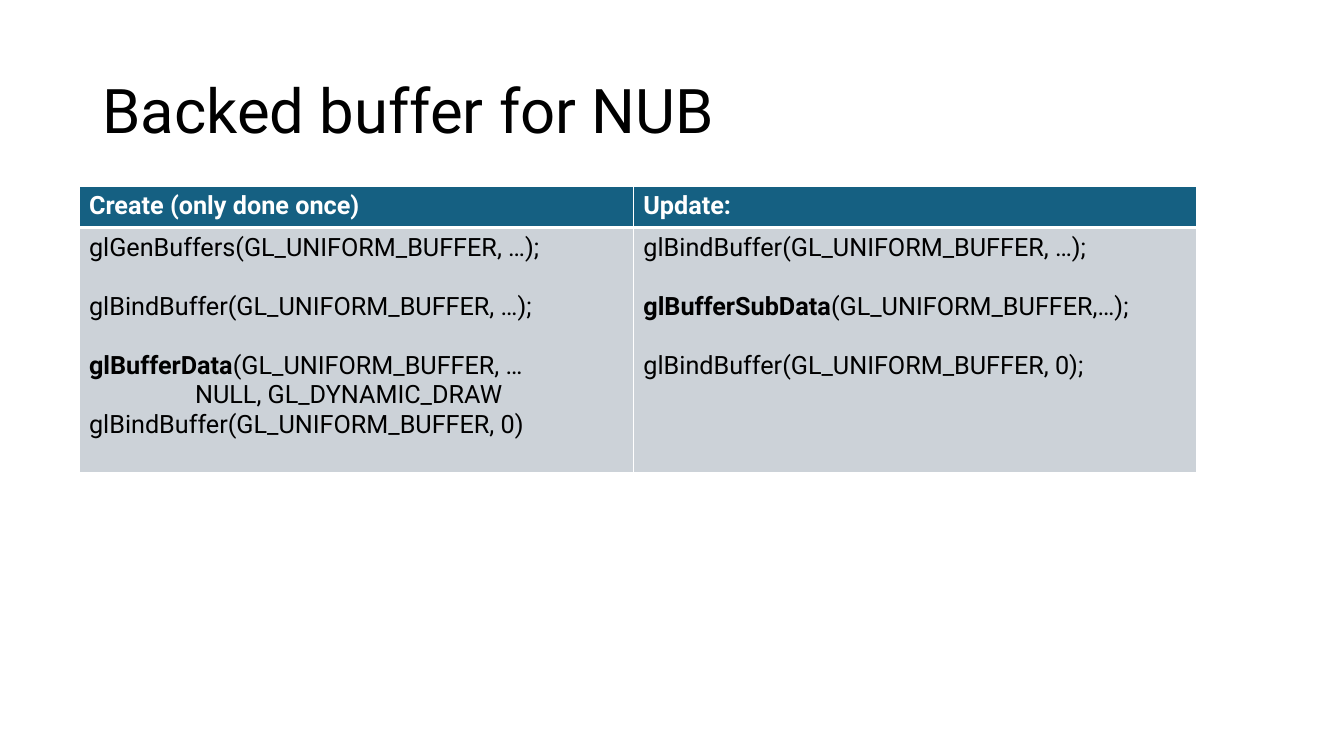
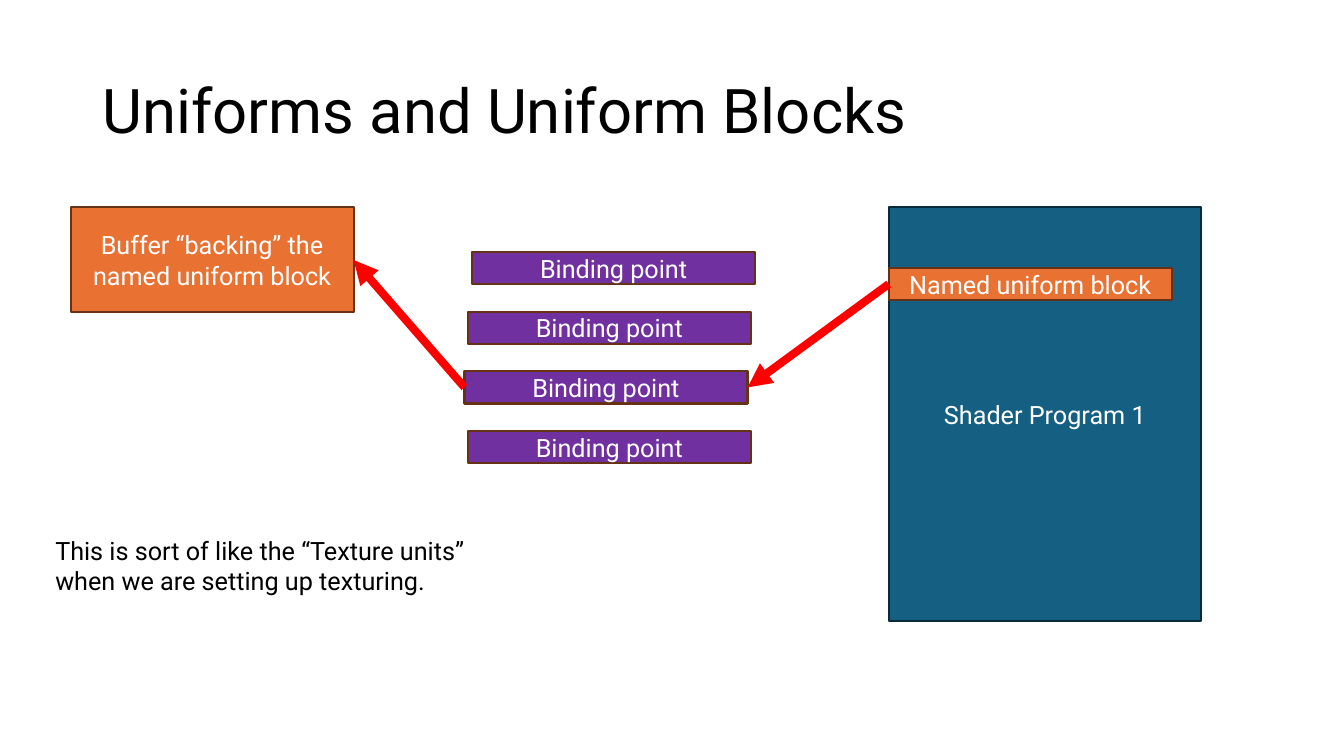
"""Build two slides on uniform buffers and the binding points that serve them."""
from dataclasses import dataclass
from typing import NamedTuple

from lxml.etree import SubElement
from pptx import Presentation
from pptx.dml.color import RGBColor
from pptx.enum.shapes import MSO_CONNECTOR, MSO_SHAPE
from pptx.enum.text import MSO_ANCHOR, PP_ALIGN
from pptx.oxml.ns import qn
from pptx.shapes.autoshape import Shape
from pptx.slide import Slide
from pptx.table import _Cell
from pptx.text.text import TextFrame
from pptx.util import Inches, Length, Pt


@dataclass(frozen=True)
class Theme:
    """Colours and type sizes of the deck."""
    font: str = "Roboto"
    title_size: float = 44
    body_size: float = 18
    blank_line: float = 21.1
    ink: str = "000000"
    paper: str = "FFFFFF"
    teal: str = "156082"
    teal_edge: str = "092A39"
    orange: str = "E97132"
    brown_edge: str = "663216"
    purple: str = "7030A0"
    grey: str = "CCD2D8"
    red: str = "FF0000"
    edge_width: float = 1.5
    arrow_width: float = 5.75
    rule: float = 1
    header_rule: float = 3


class Area(NamedTuple):
    """A rectangle in columns and rows of the grid."""
    column: float
    row: float
    columns: float
    rows: float


class Line(NamedTuple):
    """A paragraph with an optional bold lead and space before it."""
    text: str
    lead: str = ""
    before: float = 0


class Box(NamedTuple):
    """A labelled rectangle of the diagram."""
    label: str
    area: Area
    fill: str
    edge: str


class CodeColumn(NamedTuple):
    """A table column with its heading and code."""
    heading: str
    columns: float
    code: tuple[Line, ...]


THEME = Theme()
GRID_COLUMNS, GRID_ROWS = 160, 90
SLIDE_WIDTH, SLIDE_HEIGHT = Inches(13.33), Inches(7.5)
TITLE_AREA = Area(11, 4.8, 138, 17.4)
HEADER_ROWS, CODE_ROWS = 4.9, 29.2
BLOCK_COLUMNS, BLOCK_ROWS = 33.7, 3.84
BINDING_COLUMNS = (56.2, 55.7, 55.3, 55.7)
BINDING_TOP, BINDING_PITCH, USED_BINDING = 30, 7.1, 2
LEFT_SIDE, RIGHT_SIDE = 1, 3

CODE_TABLE = (
    CodeColumn("Create (only done once)", 66, (
        Line("glGenBuffers(GL_UNIFORM_BUFFER, …);"),
        Line("glBindBuffer(GL_UNIFORM_BUFFER, …);", before=THEME.blank_line),
        Line("(GL_UNIFORM_BUFFER, …", "glBufferData", THEME.blank_line),
        Line("                 NULL, GL_DYNAMIC_DRAW"),
        Line("glBindBuffer(GL_UNIFORM_BUFFER, 0)"),
    )),
    CodeColumn("Update:", 67, (
        Line("glBindBuffer(GL_UNIFORM_BUFFER, …);"),
        Line("(GL_UNIFORM_BUFFER,…);", "glBufferSubData", THEME.blank_line),
        Line("glBindBuffer(GL_UNIFORM_BUFFER, 0);", before=THEME.blank_line),
    )),
)
PROGRAM = Box("Shader Program 1", Area(105.8, 24.7, 37.2, 49.2), THEME.teal, THEME.teal_edge)
BUFFER = Box("Buffer “backing” the named uniform block",
             Area(8.4, 24.7, BLOCK_COLUMNS, 12.5), THEME.orange, THEME.brown_edge)
NAMED_BLOCK = Box("Named uniform block", Area(105.8, 31.9, BLOCK_COLUMNS, BLOCK_ROWS),
                  THEME.orange, THEME.brown_edge)
BINDINGS = tuple(
    Box("Binding point",
        Area(column, BINDING_TOP + index * BINDING_PITCH, BLOCK_COLUMNS, BLOCK_ROWS),
        THEME.purple, THEME.brown_edge)
    for index, column in enumerate(BINDING_COLUMNS)
)


def across(columns: float) -> Length:
    """Turn grid columns into a length."""
    return Length(round(SLIDE_WIDTH * columns / GRID_COLUMNS))


def down(rows: float) -> Length:
    """Turn grid rows into a length."""
    return Length(round(SLIDE_HEIGHT * rows / GRID_ROWS))


def place(area: Area) -> tuple[Length, Length, Length, Length]:
    """Turn a grid area into left, top, width and height."""
    return across(area.column), down(area.row), across(area.columns), down(area.rows)


def colour(code: str) -> RGBColor:
    """Read a colour from its hex code."""
    return RGBColor.from_string(code)


def write(frame: TextFrame, *lines: Line, size: float = THEME.body_size,
          ink: str = THEME.ink, bold: bool = False, align: PP_ALIGN = PP_ALIGN.LEFT,
          anchor: MSO_ANCHOR = MSO_ANCHOR.TOP, spacing: float = 1.0) -> None:
    """Write lines into a frame in one format."""
    frame.word_wrap = True
    frame.vertical_anchor = anchor
    for index, line in enumerate(lines):
        paragraph = frame.add_paragraph() if index else frame.paragraphs[0]
        paragraph.alignment = align
        paragraph.line_spacing = spacing
        paragraph.space_before = Pt(line.before)
        for words, heavy in ((line.lead, True), (line.text, bold)):
            if words:
                run = paragraph.add_run()
                run.text = words
                run.font.name = THEME.font
                run.font.size = Pt(size)
                run.font.bold = heavy
                run.font.color.rgb = colour(ink)


def add_titled_slide(deck: Presentation, title: str) -> Slide:
    """Add a blank slide with its title."""
    slide = deck.slides.add_slide(deck.slide_layouts[6])
    heading = slide.shapes.add_textbox(*place(TITLE_AREA))
    write(heading.text_frame, Line(title), size=THEME.title_size,
          anchor=MSO_ANCHOR.MIDDLE, spacing=0.9)
    return slide


def finish_cell(cell: _Cell, fill: str, top: float, bottom: float) -> None:
    """Give a cell its rules and fill."""
    widths = {"a:lnL": THEME.rule, "a:lnR": THEME.rule, "a:lnT": top, "a:lnB": bottom}
    properties = cell._tc.get_or_add_tcPr()
    for side, width in widths.items():
        rule = SubElement(properties, qn(side), w=str(Pt(width)))
        SubElement(SubElement(rule, qn("a:solidFill")), qn("a:srgbClr"), val=THEME.paper)
    cell.fill.solid()
    cell.fill.fore_color.rgb = colour(fill)


def add_code_table(slide: Slide, column: float, row: float) -> None:
    """Draw the table of buffer calls."""
    area = Area(column, row, sum(part.columns for part in CODE_TABLE), HEADER_ROWS + CODE_ROWS)
    table = slide.shapes.add_table(2, len(CODE_TABLE), *place(area)).table
    table.horz_banding = False
    for table_row, rows in zip(table.rows, (HEADER_ROWS, CODE_ROWS)):
        table_row.height = down(rows)
    for index, part in enumerate(CODE_TABLE):
        table.columns[index].width = across(part.columns)
        header, body = table.cell(0, index), table.cell(1, index)
        write(header.text_frame, Line(part.heading), ink=THEME.paper, bold=True)
        write(body.text_frame, *part.code)
        finish_cell(header, THEME.teal, THEME.rule, THEME.header_rule)
        finish_cell(body, THEME.grey, THEME.header_rule, THEME.rule)


def add_box(slide: Slide, box: Box) -> Shape:
    """Draw a labelled rectangle."""
    block = slide.shapes.add_shape(MSO_SHAPE.RECTANGLE, *place(box.area))
    block.shadow.inherit = False
    block.fill.solid()
    block.fill.fore_color.rgb = colour(box.fill)
    block.line.color.rgb = colour(box.edge)
    block.line.width = Pt(THEME.edge_width)
    write(block.text_frame, Line(box.label), ink=THEME.paper,
          align=PP_ALIGN.CENTER, anchor=MSO_ANCHOR.MIDDLE)
    return block


def add_arrow(slide: Slide, source: Shape, target: Shape) -> None:
    """Point from the left of one block to the right of another."""
    arrow = slide.shapes.add_connector(MSO_CONNECTOR.STRAIGHT, 0, 0, 0, 0)
    arrow.begin_connect(source, LEFT_SIDE)
    arrow.end_connect(target, RIGHT_SIDE)
    arrow.line.color.rgb = colour(THEME.red)
    arrow.line.width = Pt(THEME.arrow_width)
    SubElement(arrow.line._get_or_add_ln(), qn("a:tailEnd"), type="triangle")
    SubElement(arrow._element.spPr, qn("a:effectLst"))


def build_buffer_slide(deck: Presentation) -> None:
    """Show the calls that create and update the buffer."""
    slide = add_titled_slide(deck, "Backed buffer for NUB")
    add_code_table(slide, 9.4, 22.2)


def build_binding_slide(deck: Presentation) -> None:
    """Show how a binding point links block and buffer."""
    slide = add_titled_slide(deck, "Uniforms and Uniform Blocks")
    add_box(slide, PROGRAM)
    buffer = add_box(slide, BUFFER)
    named_block = add_box(slide, NAMED_BLOCK)
    bindings = [add_box(slide, binding) for binding in BINDINGS]
    add_arrow(slide, named_block, bindings[USED_BINDING])
    add_arrow(slide, bindings[USED_BINDING], buffer)
    remark = slide.shapes.add_textbox(*place(Area(5.4, 63.1, 54.6, 8.5)))
    write(remark.text_frame,
          Line("This is sort of like the “Texture units” when we are setting up texturing."))


def main() -> None:
    """Build and save the deck."""
    deck = Presentation()
    deck.slide_width, deck.slide_height = SLIDE_WIDTH, SLIDE_HEIGHT
    build_buffer_slide(deck)
    build_binding_slide(deck)
    deck.save("out.pptx")


if __name__ == "__main__":
    main()
